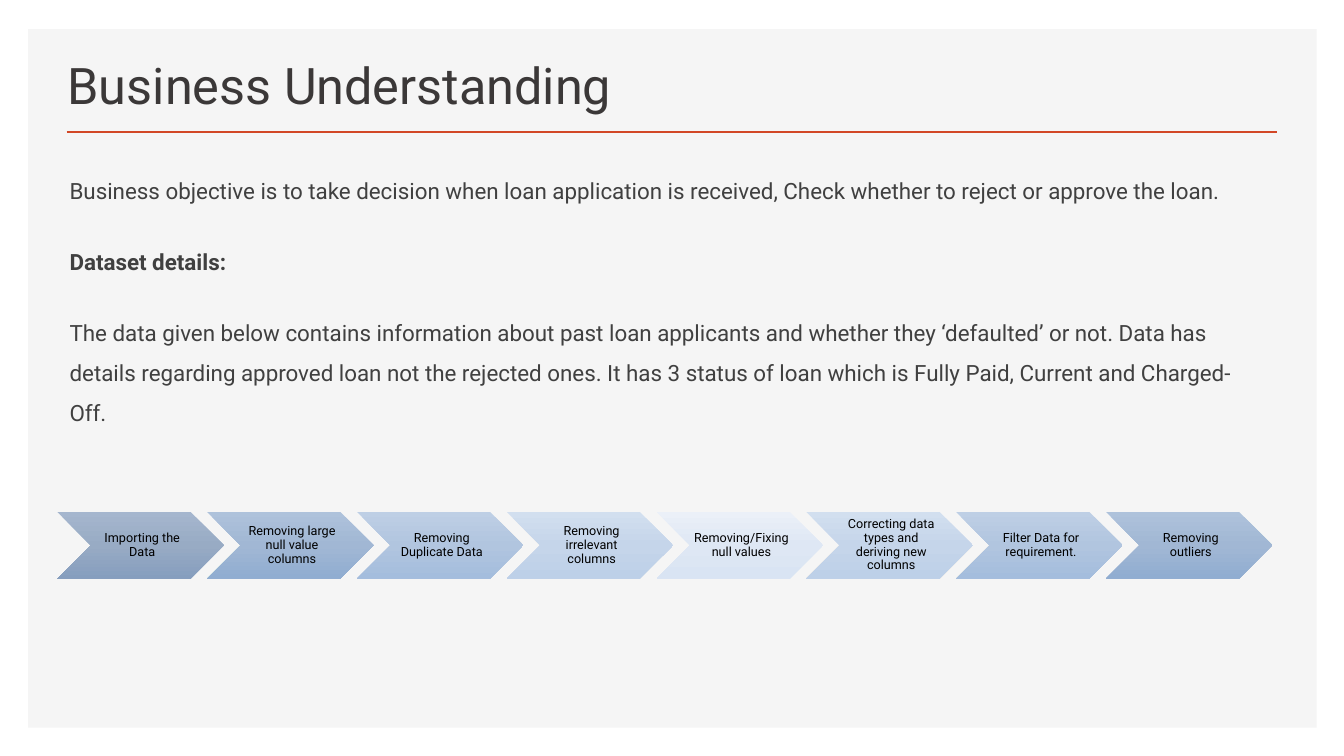
from copy import deepcopy

from pptx import Presentation
from pptx.dml.color import RGBColor
from pptx.enum.shapes import MSO_CONNECTOR as Connector, MSO_SHAPE as Shape
from pptx.enum.text import MSO_ANCHOR as Anchor, MSO_AUTO_SIZE as AutoSize, PP_ALIGN as Align
from pptx.oxml.ns import qn
from pptx.util import Inches, Pt
from lxml import etree

FONT = "Roboto"
PANEL_GREY = RGBColor(0xF5, 0xF5, 0xF5)
ACCENT = RGBColor(0xD2, 0x47, 0x26)
TITLE_GREY = RGBColor(0x3B, 0x38, 0x38)
BODY_GREY = RGBColor(0x40, 0x40, 0x40)
BLACK = RGBColor(0, 0, 0)

# Gradient colours from top to bottom, darkest chevron first
SHADES = [[RGBColor.from_string(code) for code in row.split()] for row in (
    "A5B6CE 98ABC4 869EBE",
    "AEC2DB A1B7D4 90ADD1",
    "BECFE5 B1C5DF A4BDDD",
    "D2DFEF C5D5EA BDD0E8",
    "EBF0F8 DEE7F4 D9E4F3",
)]

PARAGRAPHS = [
    "Business objective is to take decision when loan application is received, "
    "Check whether to reject or approve the loan.",
    "Dataset details:",
    "The data given below contains information about past\u00a0loan applicants and whether they "
    "‘defaulted’ or not. Data has details regarding approved loan not the rejected ones. "
    "It has 3 status of loan which is Fully Paid, Current and Charged-Off.",
]
STEPS = [
    "Importing the Data",
    "Removing large null value columns",
    "Removing Duplicate Data",
    "Removing irrelevant columns",
    "Removing/Fixing null values",
    "Correcting data types and deriving new columns",
    "Filter Data for requirement.",
    "Removing outliers",
]


def place(shape, left, top, width, height):
    shape.left, shape.top = Inches(left), Inches(top)
    shape.width, shape.height = Inches(width), Inches(height)


def style(paragraph, size, color, bold=False):
    for run in paragraph.runs:
        run.font.name = FONT
        run.font.size = Pt(size)
        run.font.bold = bold
        run.font.color.rgb = color


prs = Presentation()
prs.slide_width, prs.slide_height = Inches(13.33), Inches(7.5)
slide = prs.slides.add_slide(prs.slide_layouts[1])
shapes = slide.shapes

# Grey panel, sent behind the placeholders
panel = shapes.add_shape(Shape.RECTANGLE, Inches(0.28), Inches(0.29), Inches(12.78), Inches(6.93))
panel.shadow.inherit = False
panel.fill.solid()
panel.fill.fore_color.rgb = PANEL_GREY
panel.line.fill.background()
shapes._spTree.insert(2, panel._element)

# Title and the rule below it
title = shapes.title
place(title, 0.57, 0.49, 7.52, 0.7)
title.text_frame.text = "Business Understanding"
title.text_frame.auto_size = AutoSize.NONE
title.text_frame.vertical_anchor = Anchor.BOTTOM
title.text_frame.paragraphs[0].alignment = Align.LEFT
style(title.text_frame.paragraphs[0], 36, TITLE_GREY)

rule = shapes.add_connector(Connector.STRAIGHT, Inches(0.66), Inches(1.31), Inches(12.67), Inches(1.31))
rule.line.color.rgb = ACCENT
rule.line.width = Pt(2)
etree.SubElement(rule._element.spPr, qn("a:effectLst"))

# Body text without bullets
body = slide.placeholders[1]
place(body, 0.59, 1.57, 12.05, 4.35)
body.text_frame.text = "\n".join(PARAGRAPHS)
body.text_frame.auto_size = AutoSize.NONE
for paragraph in body.text_frame.paragraphs:
    paragraph.line_spacing = 1.5
    paragraph.space_before = Pt(10)
    paragraph.space_after = Pt(12)
    properties = paragraph._p.get_or_add_pPr()
    properties.set("marL", "0")
    properties.set("indent", "0")
    etree.SubElement(properties, qn("a:buNone"))
    style(paragraph, 16, BODY_GREY, bold=paragraph.text == "Dataset details:")

# Process chevrons: the shades lighten to the fifth step, then darken again
for index, step in enumerate(STEPS):
    chevron = shapes.add_shape(
        Shape.CHEVRON, Inches(0.57 + index * 1.4857), Inches(5.08), Inches(1.65), Inches(0.66))
    chevron.shadow.inherit = False
    chevron.line.fill.background()

    chevron.fill.gradient()
    chevron.fill.gradient_angle = 270
    stop_list = chevron._element.spPr.find(qn("a:gradFill")).find(qn("a:gsLst"))
    stop_list.insert(1, deepcopy(stop_list[0]))
    shade = SHADES[min(index, 8 - index)]
    for stop, color, position in zip(chevron.fill.gradient_stops, shade, (0, 0.5, 1)):
        stop.color.rgb = color
        stop.position = position

    label = chevron.text_frame
    label.text = step
    label.word_wrap = True
    label.vertical_anchor = Anchor.MIDDLE
    label.margin_left = Inches(0.04)
    label.margin_top = label.margin_right = label.margin_bottom = Inches(0.01)
    label.paragraphs[0].alignment = Align.CENTER
    label.paragraphs[0].line_spacing = 0.9
    style(label.paragraphs[0], 9, BLACK)

prs.save("out.pptx")
